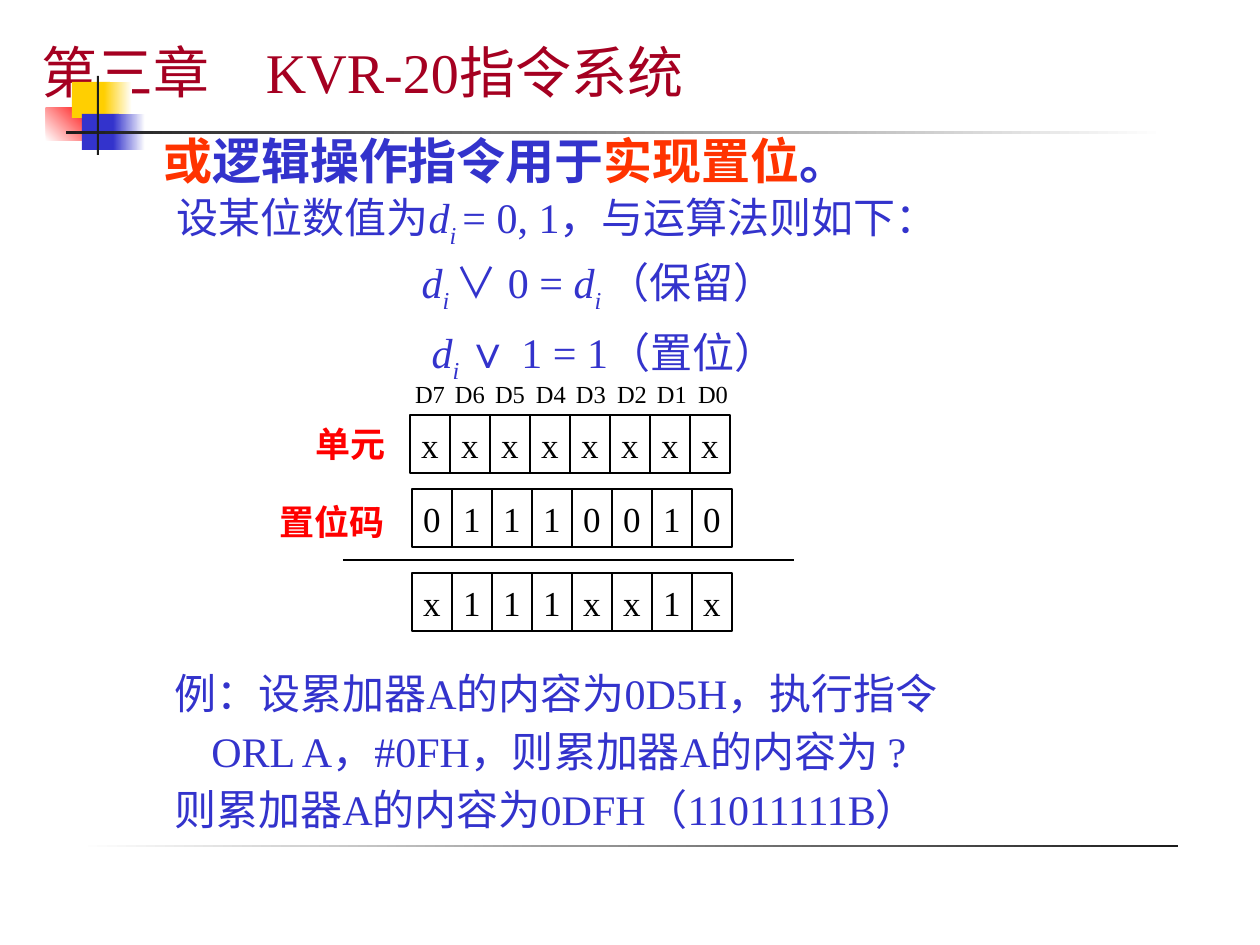
from lxml import etree
from pptx import Presentation
from pptx.dml.color import RGBColor
from pptx.enum.shapes import MSO_CONNECTOR, MSO_SHAPE
from pptx.enum.text import MSO_ANCHOR, MSO_AUTO_SIZE, PP_ALIGN
from pptx.oxml.ns import qn
from pptx.util import Emu, Pt

RECT, LINE = MSO_SHAPE.RECTANGLE, MSO_CONNECTOR.STRAIGHT
TOP, MID = MSO_ANCHOR.TOP, MSO_ANCHOR.MIDDLE
LEFT, MITTE = PP_ALIGN.LEFT, PP_ALIGN.CENTER
FIXED = MSO_AUTO_SIZE.NONE
PX = 914400 / 126
SERIF, SANS, ARIAL = "Times New Roman", "Noto Sans CJK SC", "Arial"
BLUE, RED, DARK = "3333CC", "FF3300", "1C1C1C"
WHITE, GOLD, BLACK = "FFFFFF", "FFCF01", "000000"

# Content: a paragraph is (indent px, line height px, runs)
TITLE = [(0, None, [("第三章　KVR-20指令系统", {})])]
HEAD = [(63, 58, [("或", {"color": RED}), ("逻辑操作指令用于", {}),
                  ("实现置位", {"color": RED}), ("。", {})])]
VAR = [("d", {"italic": True}), ("i ", {"italic": True, "sub": True})]
RULES = [
    (63, 58, [("设某位数值为", {}), *VAR, ("= 0, 1，与运算法则如下：", {})]),
    (308, 65, [*VAR, ("∨", {"name": SANS}), (" 0 = ", {}), *VAR,
               ("（保留）", {})]),
    (318, 70, [*VAR, ("∨", {"size": 26}), (" 1 = 1（置位）", {})]),
]
CASE = [
    (47, 58, [("例：设累加器A的内容为0D5H，执行指令", {})]),
    (84, 58, [("ORL A，#0FH，则累加器A的内容为 ?", {})]),
    (47, 58, [("则累加器A的内容为0DFH（11011111B）", {})]),
]
BITS = [(410, 415, "xxxxxxxx"), (412, 489, "01110010"), (412, 573, "x111xx1x")]
TAGS = [(303, 416, "单元"), (267, 494, "置位码")]
CELL, TALL = 40, 58

# Decoration: box, colours (two make a gradient), angle
DECOR = [
    ((46, 108, 48, 33), (WHITE, "FF0000"), 45),
    ((72, 82, 38, 36), (GOLD,), 0),
    ((104, 82, 28, 36), (GOLD, WHITE), 0),
    ((82, 114, 37, 36), (BLUE,), 0),
    ((113, 114, 32, 36), (BLUE, WHITE), 0),
    ((66, 131, 1100, 3), (DARK, WHITE), 0),
    ((97, 76, 2, 79), (DARK,), 0),
    ((78, 845, 1100, 2), (WHITE, DARK), 0),
]


def px(*nums):
    return [Emu(round(n * PX)) for n in nums]


def rgb(code):
    return RGBColor.from_string(code)


def east(props):
    etree.SubElement(props, qn("a:ea")).set("typeface", SANS)


def write(shape, paras, size, color, name=SERIF, bold=False, align=LEFT,
          anchor=TOP, wrap=True):
    frame = shape.text_frame
    frame.auto_size, frame.word_wrap = FIXED, wrap
    frame.vertical_anchor = anchor
    for n, (dent, high, runs) in enumerate(paras):
        para = frame.add_paragraph() if n else frame.paragraphs[0]
        para.alignment, para.space_before = align, Pt(0)
        if high:
            para.line_spacing = Pt(round(high * 72 / 126, 1))
        props = para._p.get_or_add_pPr()
        props.set("marL", str(px(dent)[0]))
        props.set("indent", "0")
        etree.SubElement(props, qn("a:buNone"))
        font = para.font
        font.size, font.bold, font.name = Pt(size), bold, name
        font.color.rgb = rgb(color)
        east(props.find(qn("a:defRPr")))
        for text, look in runs:
            run = para.add_run()
            run.text = text
            if "color" in look:
                run.font.color.rgb = rgb(look["color"])
            if "size" in look:
                run.font.size = Pt(look["size"])
            if "italic" in look:
                run.font.italic = True
            if "name" in look:
                run.font.name = look["name"]
            if "sub" in look:
                run._r.get_or_add_rPr().set("baseline", "-25000")


def place(shape, box):
    shape.left, shape.top, shape.width, shape.height = px(*box)
    return shape


def rect(box):
    shape = slide.shapes.add_shape(RECT, *px(*box))
    shape.shadow.inherit = False
    return shape


def label(box, text, *args, **opts):
    write(slide.shapes.add_textbox(*px(*box)), [(0, None, [(text, {})])],
          *args, **opts)


deck = Presentation()
deck.slide_width, deck.slide_height = px(1260, 945)
slide = deck.slides.add_slide(deck.slide_layouts[1])
title, body = slide.placeholders

# Corner squares and rules
for box, hues, angle in DECOR:
    shape = rect(box)
    shape.line.fill.background()
    if len(hues) == 1:
        shape.fill.solid()
        shape.fill.fore_color.rgb = rgb(hues[0])
    else:
        shape.fill.gradient()
        shape.fill.gradient_angle = angle
        for stop, hue, pos in zip(shape.fill.gradient_stops, hues, (0, 1)):
            stop.color.rgb, stop.position = rgb(hue), pos

# Title, heading, rules and worked case
write(place(title, (29, 29, 1207, 84)), TITLE, 32, "A50021", anchor=MID)
head = slide.shapes.add_textbox(*px(88, 125, 829, 67))
write(head, HEAD, 28, BLUE, SANS, True)
write(place(body, (101, 185, 900, 206)), RULES, 24, BLUE)
case = slide.shapes.add_textbox(*px(115, 654, 1100, 190))
write(case, CASE, 24, BLUE)

# Bit columns and rows
for n in range(8):
    label((402 + n * 283 // 7, 373, 56, 42), f"D{7 - n}", 14, BLACK,
          align=MITTE, wrap=False)
for left, top, row in BITS:
    for n, bit in enumerate(row):
        cell = rect((left + n * CELL, top, CELL, TALL))
        cell.fill.background()
        cell.line.color.rgb, cell.line.width = rgb(BLACK), Pt(0.75)
        write(cell, [(0, None, [(bit, {})])], 20, BLACK, align=MITTE,
              anchor=MID, wrap=False)
for left, top, text in TAGS:
    label((left, top, 135, 54), text, 20, "FF0000", ARIAL, True)

# Sum line
x1, y, x2 = px(343, 560, 794)
line = slide.shapes.add_connector(LINE, x1, y, x2, y)
line.line.color.rgb, line.line.width = rgb(BLACK), Pt(0.75)
etree.SubElement(line._element.spPr, qn("a:effectLst"))

deck.save("out.pptx")
